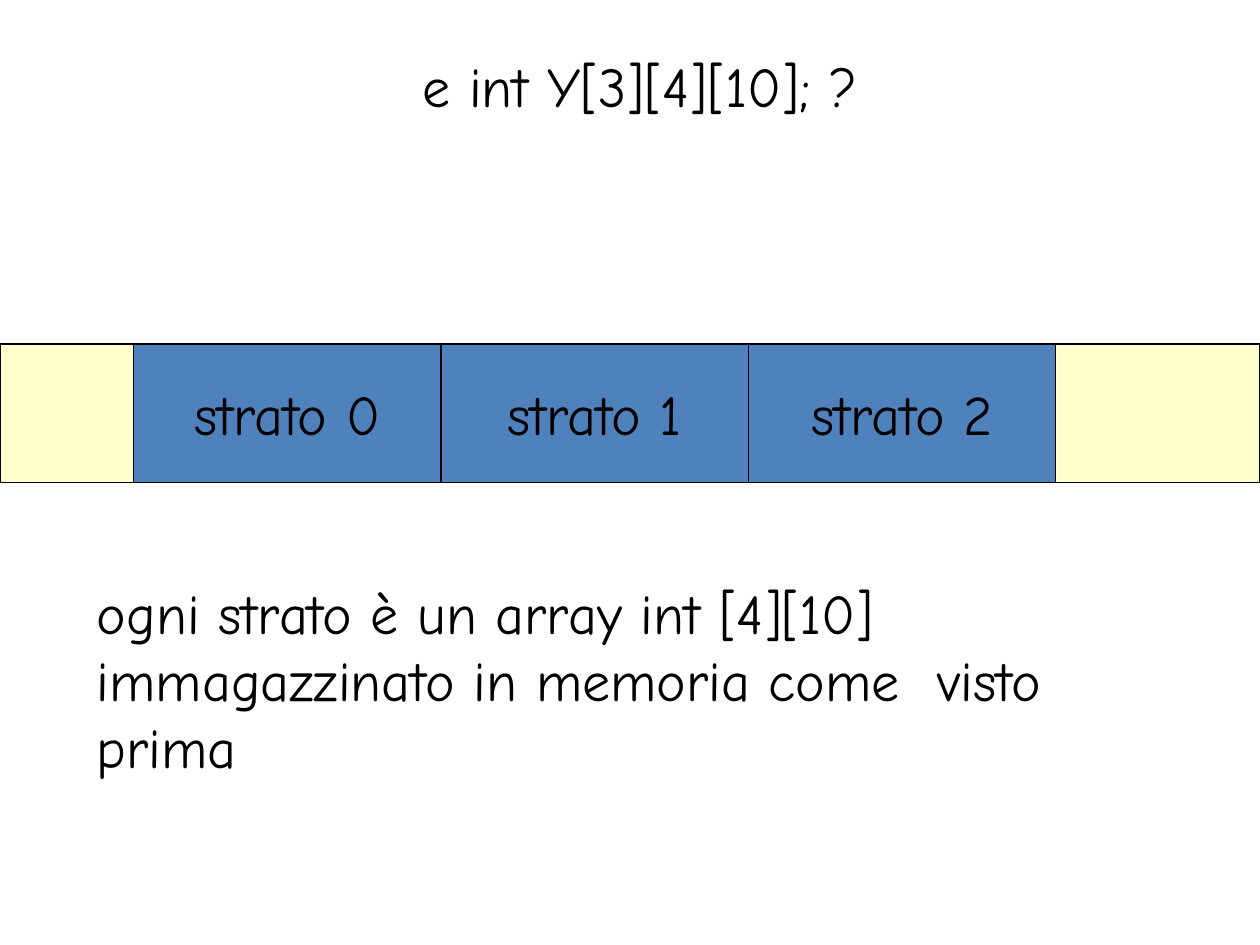
from pptx import Presentation
from pptx.dml.color import RGBColor
from pptx.enum.shapes import MSO_SHAPE
from pptx.enum.text import MSO_ANCHOR as ANCHOR, MSO_AUTO_SIZE as AUTO, PP_ALIGN as ALIGN
from pptx.util import Inches, Pt

TITLE = "e int Y[3][4][10]; ?"
LAYERS = ["strato 0", "strato 1", "strato 2"]
NOTE = "ogni strato è un array int [4][10] immagazzinato in memoria come  visto prima"

BLACK = RGBColor(0x00, 0x00, 0x00)
CREAM = RGBColor(0xFF, 0xFF, 0xCC)
BLUE = RGBColor(0x4F, 0x81, 0xBD)
FONT = "Comic Neue"
BAR_TOP, BAR_HEIGHT = 2.73, 1.1
LAYER_LEFT, LAYER_WIDTH = 1.06, 2.44


def write(sp, text, align=ALIGN.LEFT, anchor=ANCHOR.TOP, wrap=True, size=32):
    tf = sp.text_frame
    tf.word_wrap = wrap
    tf.auto_size = AUTO.NONE
    tf.vertical_anchor = anchor
    p = tf.paragraphs[0]
    p.alignment = align
    p.line_spacing = 1.0
    p.space_before = Pt(0)
    r = p.add_run()
    r.text = text
    r.font.name = FONT
    r.font.size = Pt(size)
    r.font.color.rgb = BLACK


def add_block(left, width, fill):
    sp = s.shapes.add_shape(MSO_SHAPE.RECTANGLE, Inches(left), Inches(BAR_TOP),
                            Inches(width), Inches(BAR_HEIGHT))
    sp.shadow.inherit = False
    sp.fill.solid()
    sp.fill.fore_color.rgb = fill
    sp.line.color.rgb = BLACK
    sp.line.width = Pt(0.75)
    return sp


prs = Presentation()
prs.slide_width, prs.slide_height = Inches(10), Inches(7.5)
s = prs.slides.add_slide(prs.slide_layouts[5])

title = s.shapes.title
title.left, title.top = Inches(0.75), Inches(0.36)
title.width, title.height = Inches(8.66), Inches(0.63)
write(title, TITLE, align=ALIGN.CENTER)

add_block(0, 10, CREAM)
for i, label in enumerate(LAYERS):
    layer = add_block(LAYER_LEFT + i * LAYER_WIDTH, LAYER_WIDTH, BLUE)
    write(layer, label, align=ALIGN.CENTER, anchor=ANCHOR.MIDDLE, wrap=False)

note = s.shapes.add_textbox(Inches(0.67), Inches(4.54), Inches(8.11), Inches(1.72))
write(note, NOTE)

prs.save("out.pptx")
